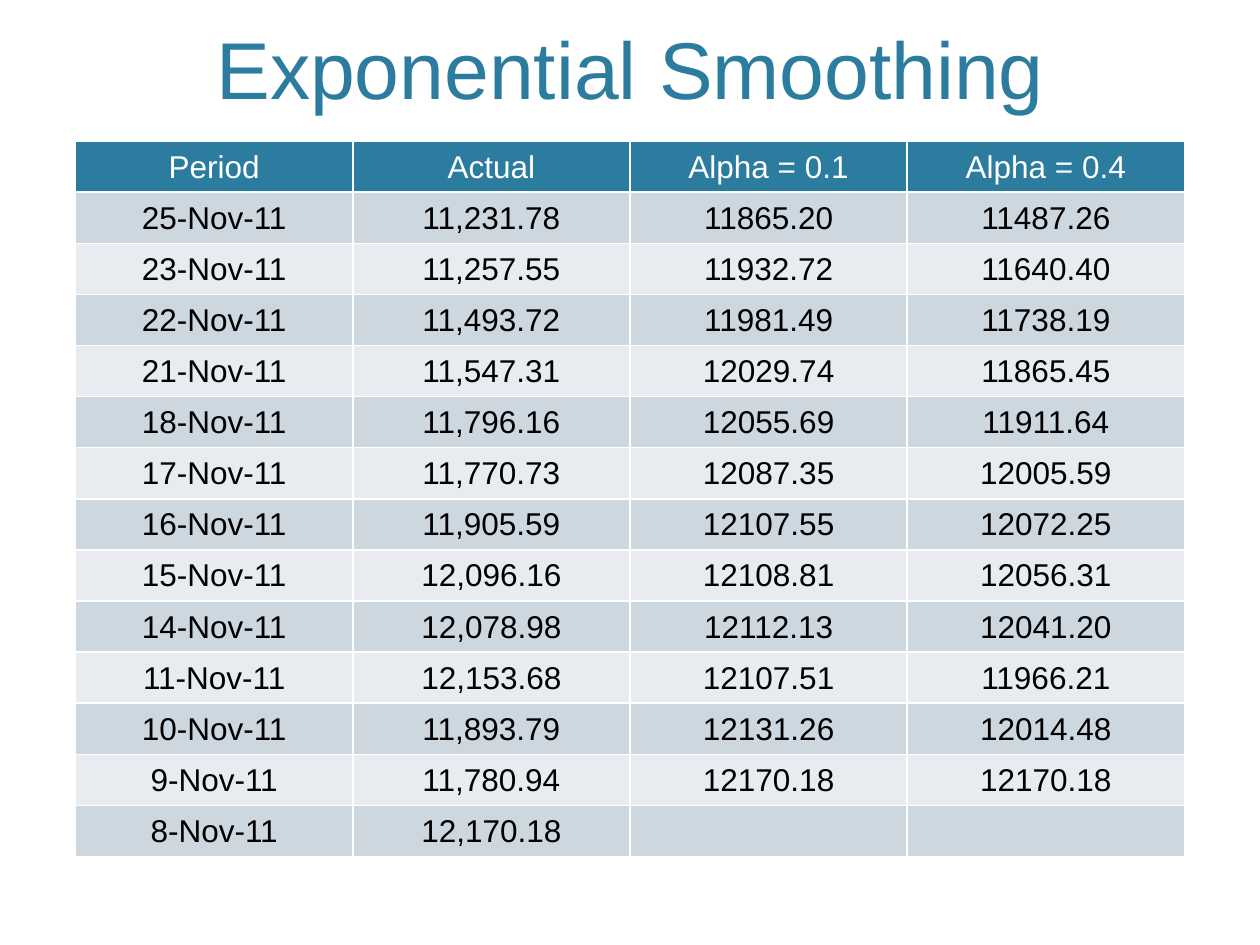
import pptx
import pptx.dml.color
import pptx.enum.text
import pptx.util
from pptx.util import Inches

FONT = "Arial"
TEAL, WHITE, BLACK = "2C7C9F", "FFFFFF", "000000"
BANDS = ("CDD7DF", "E8ECF0")
HEADER = ("Period", "Actual", "Alpha = 0.1", "Alpha = 0.4")
FORECASTS = (
    ("25-Nov-11", "11,231.78", "11865.20", "11487.26"),
    ("23-Nov-11", "11,257.55", "11932.72", "11640.40"),
    ("22-Nov-11", "11,493.72", "11981.49", "11738.19"),
    ("21-Nov-11", "11,547.31", "12029.74", "11865.45"),
    ("18-Nov-11", "11,796.16", "12055.69", "11911.64"),
    ("17-Nov-11", "11,770.73", "12087.35", "12005.59"),
    ("16-Nov-11", "11,905.59", "12107.55", "12072.25"),
    ("15-Nov-11", "12,096.16", "12108.81", "12056.31"),
    ("14-Nov-11", "12,078.98", "12112.13", "12041.20"),
    ("11-Nov-11", "12,153.68", "12107.51", "11966.21"),
    ("10-Nov-11", "11,893.79", "12131.26", "12014.48"),
    ("9-Nov-11", "11,780.94", "12170.18", "12170.18"),
    ("8-Nov-11", "12,170.18", "", ""),
)


def set_color(color_format, value):
    color_format.rgb = pptx.dml.color.RGBColor.from_string(value)


def write_centered(text_frame, text, size, color):
    paragraph = text_frame.paragraphs[0]
    paragraph.text = text
    paragraph.alignment = pptx.enum.text.PP_ALIGN.CENTER
    paragraph.font.name = FONT
    paragraph.font.size = pptx.util.Pt(size)
    paragraph.font.bold = False
    set_color(paragraph.font.color, color)


def add_title(slide, left, top, width, height):
    text_frame = slide.shapes.add_textbox(left, top, width, height).text_frame
    text_frame.word_wrap = True
    text_frame.vertical_anchor = pptx.enum.text.MSO_ANCHOR.BOTTOM
    write_centered(text_frame, "Exponential Smoothing", 46, TEAL)


def fill_cell(cell, text, fill, color):
    cell.fill.solid()
    set_color(cell.fill.fore_color, fill)
    cell.vertical_anchor = pptx.enum.text.MSO_ANCHOR.MIDDLE
    cell.margin_left = cell.margin_top = cell.margin_right = Inches(0.01)
    cell.margin_bottom = 0
    write_centered(cell.text_frame, text, 18, color)


def add_forecast_table(slide, left, top, width, height):
    """Add the banded table; its default style draws the white cell borders."""
    rows = (HEADER, *FORECASTS)
    table = slide.shapes.add_table(
        len(rows), len(HEADER), left, top, width, height
    ).table
    for row_index, row in enumerate(rows):
        is_header = row_index == 0
        fill = TEAL if is_header else BANDS[(row_index - 1) % 2]
        color = WHITE if is_header else BLACK
        for column_index, text in enumerate(row):
            fill_cell(table.cell(row_index, column_index), text, fill, color)


def main():
    presentation = pptx.Presentation()
    presentation.slide_width = Inches(10)
    presentation.slide_height = Inches(7.5)
    slide = presentation.slides.add_slide(presentation.slide_layouts[6])
    left, width = Inches(0.6), Inches(8.8)
    add_title(slide, left, Inches(0.12), width, Inches(0.85))
    add_forecast_table(slide, left, Inches(1.12), width, Inches(5.68))
    presentation.save("out.pptx")


if __name__ == "__main__":
    main()
